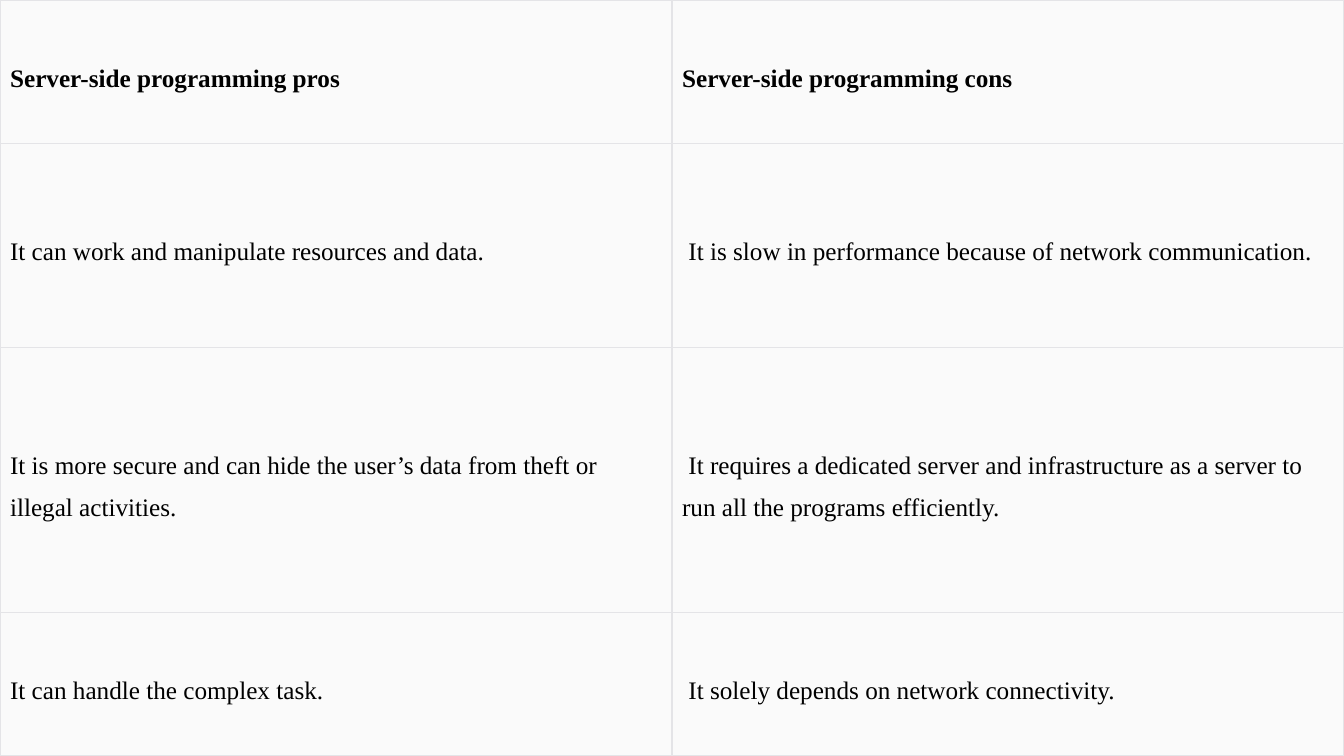
from lxml.etree import SubElement as Sub
from pptx import Presentation
from pptx.dml.color import RGBColor as Rgb
from pptx.enum.text import MSO_ANCHOR as Anchor
from pptx.oxml.ns import qn
from pptx.util import Inches, Pt

ROWS = [
    (1.42, "Server-side programming pros", "Server-side programming cons"),
    (2.03, "It can work and manipulate resources and data.",
     " It is slow in performance because of network communication."),
    (2.63, "It is more secure and can hide the user’s data from theft or illegal activities.",
     " It requires a dedicated server and infrastructure as a server to run all the programs efficiently."),
    (1.42, "It can handle the complex task.",
     " It solely depends on network connectivity."),
]


def paint(fill, color):
    """Make a fill solid in a hex colour."""
    fill.solid()
    fill.fore_color.rgb = Rgb.from_string(color)


def edge(cell, color, width):
    """Draw the four borders of a cell."""
    props = cell._tc.get_or_add_tcPr()
    for spot, side in enumerate(("lnL", "lnR", "lnT", "lnB")):
        line = props.makeelement(qn(f"a:{side}"), {"w": str(Pt(width))})
        Sub(Sub(line, qn("a:solidFill")), qn("a:srgbClr"), val=color)
        props.insert(spot, line)


def write(cell, text, bold):
    """Put one styled run in a cell."""
    cell.vertical_anchor = Anchor.MIDDLE
    para = cell.text_frame.paragraphs[0]
    para.line_spacing = 1.5
    run = para.add_run()
    run.text = text
    run.font.name = "Times New Roman"
    run.font.size = Pt(18)
    run.font.bold = bold
    paint(run.font.fill, "000000")


def compare(slide, left, top, width):
    """Build the table of pros and cons."""
    high = sum(row[0] for row in ROWS)
    frame = slide.shapes.add_table(len(ROWS), 2, Inches(left), Inches(top),
                                   Inches(width), Inches(high))
    table = frame.table
    for col in table.columns:
        col.width = Inches(width / 2)
    for r, (tall, *texts) in enumerate(ROWS):
        table.rows[r].height = Inches(tall)
        for c, text in enumerate(texts):
            cell = table.cell(r, c)
            write(cell, text, r == 0)
            paint(cell.fill, "FAFAFA")
            edge(cell, "E4E4E7", 1)


deck = Presentation()
deck.slide_width, deck.slide_height = Inches(13.33), Inches(7.5)
page = deck.slides.add_slide(deck.slide_layouts[6])
paint(page.background.fill, "FFFFFF")
compare(page, 0, 0, 13.33)
deck.save("out.pptx")
